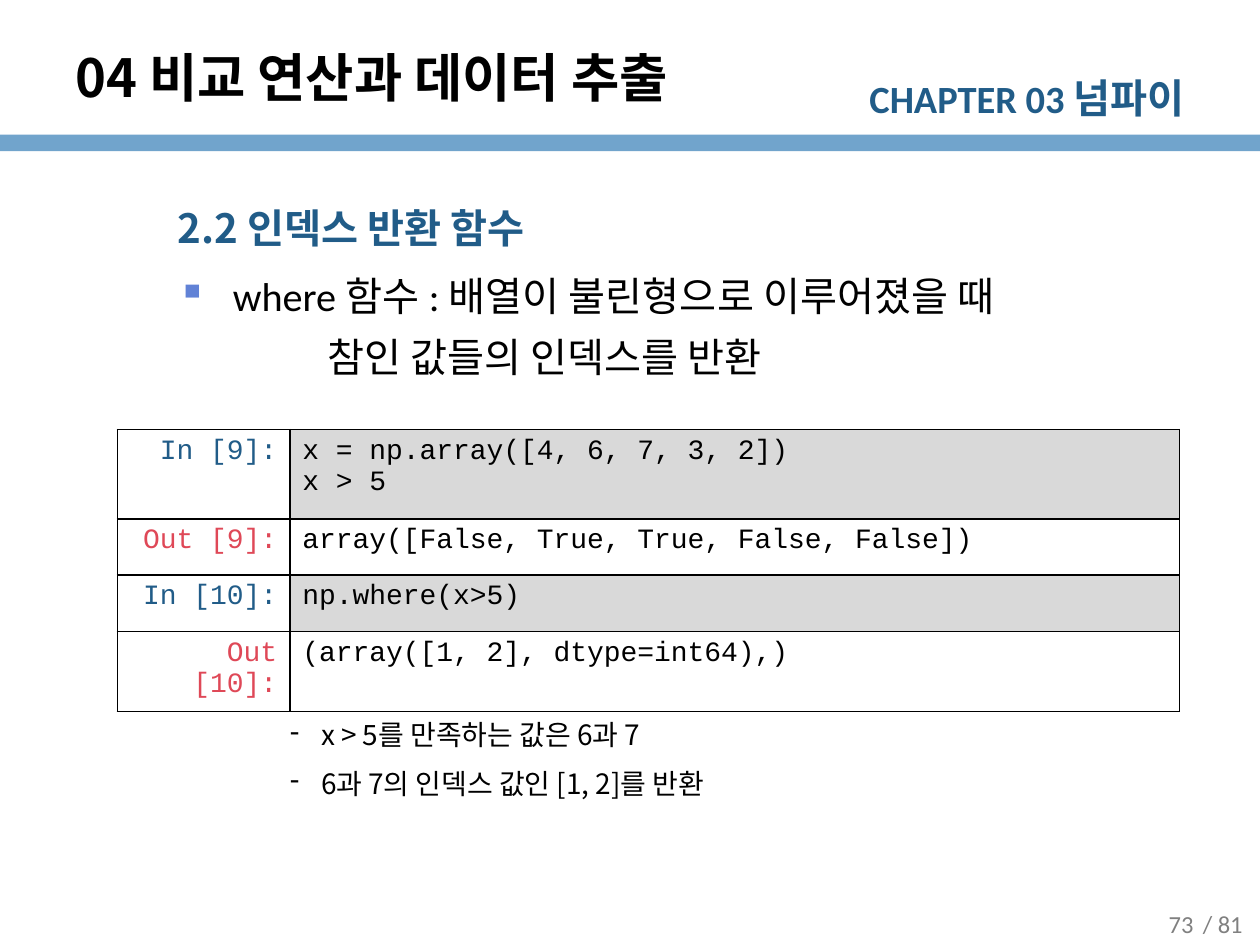
from dataclasses import dataclass, field

from lxml import etree
from pptx import Presentation
from pptx.dml.color import RGBColor
from pptx.enum.shapes import MSO_SHAPE
from pptx.enum.text import MSO_ANCHOR, PP_ALIGN
from pptx.oxml.ns import qn
from pptx.util import Pt

RECTANGLE = MSO_SHAPE.RECTANGLE
LEFT, CENTER, RIGHT = PP_ALIGN.LEFT, PP_ALIGN.CENTER, PP_ALIGN.RIGHT
TOP, MIDDLE = MSO_ANCHOR.TOP, MSO_ANCHOR.MIDDLE

BLACK = RGBColor(0x00, 0x00, 0x00)
GRAY = RGBColor(0x80, 0x80, 0x80)
CODE_GRAY = RGBColor(0xD9, 0xD9, 0xD9)
NAVY = RGBColor(0x21, 0x5C, 0x88)
BAND_BLUE = RGBColor(0x71, 0xA4, 0xCC)
BULLET_BLUE = RGBColor(0x61, 0x82, 0xD6)
RED = RGBColor(0xDF, 0x48, 0x57)

SANS, KOREAN, MONO = "Calibri", "Noto Sans CJK KR", "Courier New"


@dataclass
class Run:
    text: str
    size: float
    font: str = KOREAN
    color: RGBColor = BLACK
    bold: bool = False


@dataclass
class Paragraph:
    runs: list[Run]
    format: dict = field(default_factory=dict)
    level: int = 0
    margin: float = 0
    indent: float = 0
    bullet: str = ""
    bullet_color: RGBColor = BLACK


@dataclass
class TextBox:
    left: float
    top: float
    width: float
    height: float
    paragraphs: list[Paragraph]
    anchor: MSO_ANCHOR = TOP


@dataclass
class CodeRow:
    label: str
    lines: list[str]
    height: float
    is_input: bool


def write_run(paragraph, item: Run) -> None:
    """Add a run; a vertical tab in its text becomes a line break."""
    for number, part in enumerate(item.text.split("\v")):
        if number:
            paragraph.add_line_break()
        run = paragraph.add_run()
        run.text = part
        values = {"size": Pt(item.size), "name": item.font, "bold": item.bold}
        for name, value in values.items():
            setattr(run.font, name, value)
        run.font.color.rgb = item.color
        east_asian = etree.Element(qn("a:ea"), typeface=KOREAN)
        run.font._element.find(qn("a:latin")).addnext(east_asian)


def write_paragraphs(frame, items: list[Paragraph]) -> None:
    for number, item in enumerate(items):
        paragraph = frame.add_paragraph() if number else frame.paragraphs[0]
        paragraph.level = item.level
        for name, value in item.format.items():
            setattr(paragraph, name, value)
        properties = paragraph._p.get_or_add_pPr()
        properties.set("marL", str(Pt(item.margin)))
        properties.set("indent", str(Pt(item.indent)))
        if item.bullet:
            color = etree.SubElement(properties, qn("a:buClr"))
            etree.SubElement(color, qn("a:srgbClr"), val=str(item.bullet_color))
            etree.SubElement(properties, qn("a:buChar"), char=item.bullet)
        for run in item.runs:
            write_run(paragraph, run)


def add_text(slide, box: TextBox) -> None:
    shape = slide.shapes.add_textbox(Pt(box.left), Pt(box.top), Pt(box.width), Pt(box.height))
    shape.text_frame.word_wrap = True
    shape.text_frame.vertical_anchor = box.anchor
    write_paragraphs(shape.text_frame, box.paragraphs)


def set_borders(cell) -> None:
    properties = cell._tc.get_or_add_tcPr()
    for position, side in enumerate(("lnL", "lnR", "lnT", "lnB")):
        line = etree.Element(qn(f"a:{side}"), w=str(Pt(1)))
        fill = etree.SubElement(line, qn("a:solidFill"))
        etree.SubElement(fill, qn("a:srgbClr"), val=str(BLACK))
        properties.insert(position, line)


def add_code_table(slide, left: float, top: float, widths: list[float], rows: list[CodeRow]) -> None:
    height = sum(row.height for row in rows)
    table = slide.shapes.add_table(
        len(rows), len(widths), Pt(left), Pt(top), Pt(sum(widths)), Pt(height)
    ).table
    for column, width in zip(table.columns, widths):
        column.width = Pt(width)
    for number, row in enumerate(rows):
        table.rows[number].height = Pt(row.height)
        label_color = NAVY if row.is_input else RED
        label = [Paragraph([Run(row.label, 16, MONO, label_color)], {"alignment": RIGHT})]
        code = [Paragraph([Run(line, 16, MONO)]) for line in row.lines]
        for column, content in enumerate((label, code)):
            cell = table.cell(number, column)
            write_paragraphs(cell.text_frame, content)
            if column and row.is_input:
                cell.fill.solid()
                cell.fill.fore_color.rgb = CODE_GRAY
            else:
                cell.fill.background()
            set_borders(cell)


def note(text: str, space_before: float) -> Paragraph:
    values = {"line_spacing": 1.25, "space_before": Pt(space_before)}
    return Paragraph([Run(text, 16)], values, 3, 126, -18, "‐")


def page_number(left: float, text: str) -> TextBox:
    content = Paragraph([Run(text, 14, SANS, GRAY)], {"alignment": CENTER})
    return TextBox(left, 514, 51, 28, [content], MIDDLE)


TEXT_BOXES = [
    # Chapter name and page numbers
    TextBox(476.6, 38.2, 207.4, 34.6, [Paragraph(
        [Run("CHAPTER 03 ", 22, SANS, NAVY, True), Run("넘파이", 23, SANS, NAVY, True)],
        {"alignment": RIGHT})]),
    page_number(673.2, "/ 81"),
    page_number(649.4, "73"),
    # Title
    TextBox(36, 21.6, 563.8, 44.6, [Paragraph(
        [Run("04 비교 연산과 데이터 추출", 30, bold=True)], {"alignment": LEFT})], MIDDLE),
    # Section heading and explanation
    TextBox(36, 105.8, 648, 406, [
        Paragraph([Run("2.2 인덱스 반환 함수", 23, KOREAN, NAVY, True)],
                  {"line_spacing": 1.25, "space_before": Pt(0)}, 1, 58.3),
        Paragraph([Run("where 함수 : 배열이 불린형으로 이루어졌을 때 \v\t\t참인 값들의 인덱스를 반환", 23, SANS)],
                  {"line_spacing": 1.25, "space_before": Pt(4.6)}, 1, 90, -31.7, "▪", BULLET_BLUE),
    ]),
    # Notes under the table
    TextBox(50.4, 401.8, 554.4, 44, [
        note("x > 5를 만족하는 값은 6과 7", 0),
        note("6과 7의 인덱스 값인 [1, 2]를 반환", 3.8),
    ]),
]

CODE_ROWS = [
    CodeRow("In [9]:", ["x = np.array([4, 6, 7, 3, 2])", "x > 5"], 51, True),
    CodeRow("Out [9]:", ["array([False, True, True, False, False])"], 32.2, False),
    CodeRow("In [10]:", ["np.where(x>5)"], 32.2, True),
    CodeRow("Out [10]:", ["(array([1, 2], dtype=int64),)"], 32.2, False),
]


def main() -> None:
    presentation = Presentation()
    presentation.slide_width, presentation.slide_height = Pt(720), Pt(540)
    slide = presentation.slides.add_slide(presentation.slide_layouts[6])

    # Header band
    band = slide.shapes.add_shape(RECTANGLE, Pt(0), Pt(77), Pt(720), Pt(9.4))
    band.shadow.inherit = False
    band.fill.solid()
    band.fill.fore_color.rgb = BAND_BLUE
    band.line.fill.background()

    for box in TEXT_BOXES:
        add_text(slide, box)
    add_code_table(slide, 67, 245.5, [98.6, 508.3], CODE_ROWS)

    presentation.save("out.pptx")


if __name__ == "__main__":
    main()
